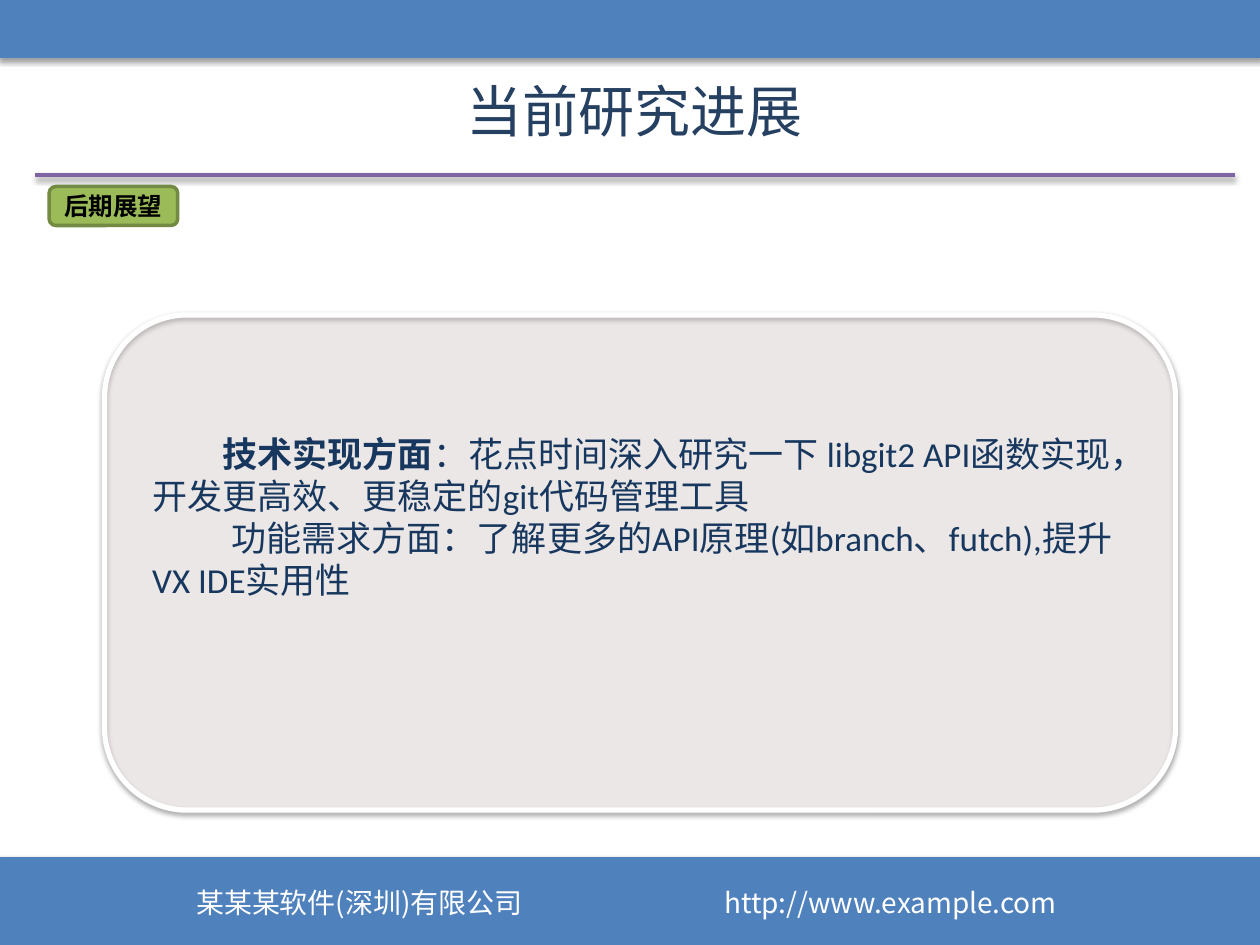
from dataclasses import dataclass
from lxml import etree
from pptx import Presentation
from pptx.dml.color import RGBColor
from pptx.enum.shapes import MSO_CONNECTOR, MSO_SHAPE
from pptx.enum.text import MSO_ANCHOR, PP_ALIGN
from pptx.oxml.ns import qn
from pptx.util import Inches, Pt

RECT, ROUND = MSO_SHAPE.RECTANGLE, MSO_SHAPE.ROUNDED_RECTANGLE
LEFT, CENTER = PP_ALIGN.LEFT, PP_ALIGN.CENTER
MIDDLE = MSO_ANCHOR.MIDDLE
STRAIGHT = MSO_CONNECTOR.STRAIGHT
COLORS = {
    "blue": "4F81BD", "purple": "8064A2", "navy": "254061", "ink": "17375E",
    "pink": "F2DCDB", "green": "9BBB59", "olive": "738A42",
    "white": "FFFFFF", "black": "000000",
}
Box = tuple[float, float, float, float]


@dataclass
class Panel:
    box: Box
    fill: str
    line: str
    kind: int = RECT
    width: float = 3
    alpha: int = 100
    shadow: bool = True


@dataclass
class Style:
    font: str
    size: float
    color: str
    bold: bool | None = None
    align: int = LEFT


@dataclass
class Label:
    box: Box
    text: str
    style: Style


def color(name: str) -> RGBColor:
    return RGBColor.from_string(COLORS[name])


def add_shadow(shape, shown: bool = True) -> None:
    props = shape._element.spPr
    for old in props.findall(qn("a:effectLst")):
        props.remove(old)
    effects = etree.SubElement(props, qn("a:effectLst"))
    if shown:
        outer = etree.SubElement(
            effects, qn("a:outerShdw"), blurRad=str(Pt(3.1)),
            dist=str(Pt(1.6)), dir="5400000", rotWithShape="0")
        tint = etree.SubElement(outer, qn("a:srgbClr"), val=COLORS["black"])
        etree.SubElement(tint, qn("a:alpha"), val="38000")


def add_panel(slide, panel: Panel):
    shape = slide.shapes.add_shape(panel.kind, *map(Inches, panel.box))
    shape.shadow.inherit = False
    shape.fill.solid()
    shape.fill.fore_color.rgb = color(panel.fill)
    shape.line.color.rgb = color(panel.line)
    shape.line.width = Pt(panel.width)
    if panel.alpha < 100:
        tint = shape._element.spPr.find(qn("a:solidFill"))[0]
        etree.SubElement(tint, qn("a:alpha"), val=str(panel.alpha * 1000))
    add_shadow(shape, panel.shadow)
    return shape


def set_style(para, style: Style) -> None:
    para.alignment = style.align
    para.font.name = style.font
    para.font.size = Pt(style.size)
    para.font.bold = style.bold
    para.font.color.rgb = color(style.color)


def add_frame(slide, box: Box):
    frame = slide.shapes.add_textbox(*map(Inches, box)).text_frame
    frame.word_wrap = True
    return frame


def add_label(slide, label: Label) -> None:
    para = add_frame(slide, label.box).paragraphs[0]
    para.text = label.text
    set_style(para, label.style)


def add_body(slide, box: Box, style: Style) -> None:
    frame = add_frame(slide, box)
    for index, (indent, head, text) in enumerate(POINTS):
        para = frame.add_paragraph() if index else frame.paragraphs[0]
        set_style(para, style)
        para._p.get_or_add_pPr().set("indent", str(Inches(indent)))
        if head:
            run = para.add_run()
            run.text = head
            run.font.bold = True
        para.add_run().text = text


POINTS = [
    (0.56, "技术实现方面",
     "：花点时间深入研究一下 libgit2 API函数实现，开发更高效、更稳定的git代码管理工具"),
    (0.63, "",
     "功能需求方面：了解更多的API原理(如branch、futch),提升VX IDE实用性"),
]
TITLE = Style("Arial", 32, "navy", align=CENTER)
FOOT = Style("Noto Sans CJK SC", 16, "white")
BODY = Style("Calibri", 20, "ink")
BADGE = Style("Calibri", 14, "black", True, CENTER)

deck = Presentation()
deck.slide_width, deck.slide_height = Inches(10), Inches(7.5)
slide = deck.slides.add_slide(deck.slide_layouts[6])

add_panel(slide, Panel((0, 0, 10, 0.44), "blue", "blue"))
rule = slide.shapes.add_connector(
    STRAIGHT, Inches(0.28), Inches(1.39), Inches(9.8), Inches(1.39))
rule.line.color.rgb = color("purple")
rule.line.width = Pt(2)
add_shadow(rule)
add_label(slide, Label((0.54, 0.56, 9, 0.7), "当前研究进展", TITLE))

add_panel(slide, Panel((0, 6.82, 10, 0.67), "blue", "blue"))
for label in (
    Label((1.46, 6.98, 4, 0.37), "某某某软件(深圳)有限公司", FOOT),
    Label((5.65, 6.98, 4.16, 0.37), "http://www.example.com", FOOT),
):
    add_label(slide, label)

add_panel(slide, Panel((0.83, 2.5, 8.5, 3.93), "pink", "white", ROUND, alpha=21))
add_body(slide, (1.11, 3.38, 7.93, 1.45), BODY)

badge = add_panel(slide, Panel(
    (0.39, 1.48, 1.02, 0.31), "green", "olive", ROUND, 2, shadow=False))
badge.text_frame.vertical_anchor = MIDDLE
badge.text_frame.text = "后期展望"
set_style(badge.text_frame.paragraphs[0], BADGE)

deck.save("out.pptx")
